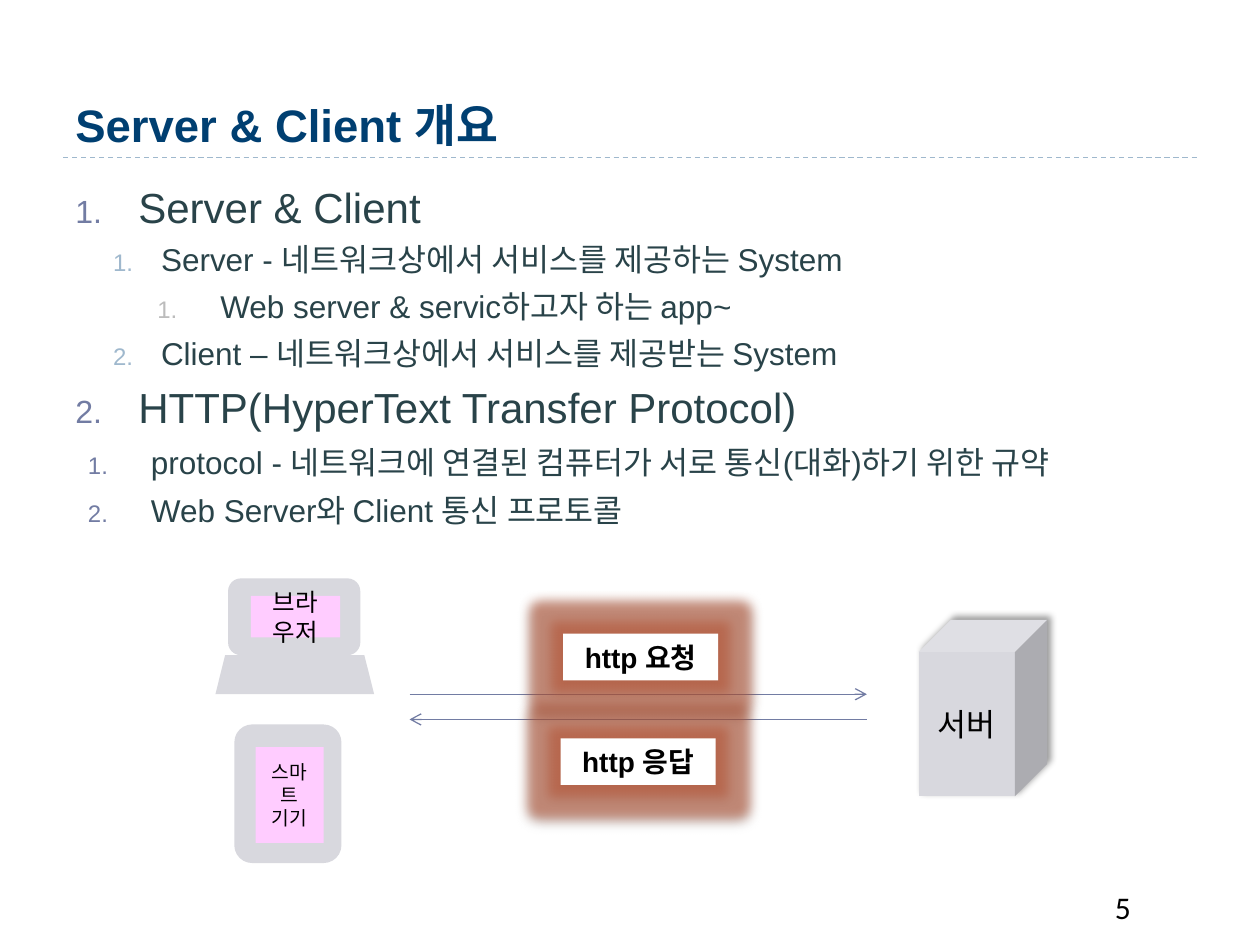
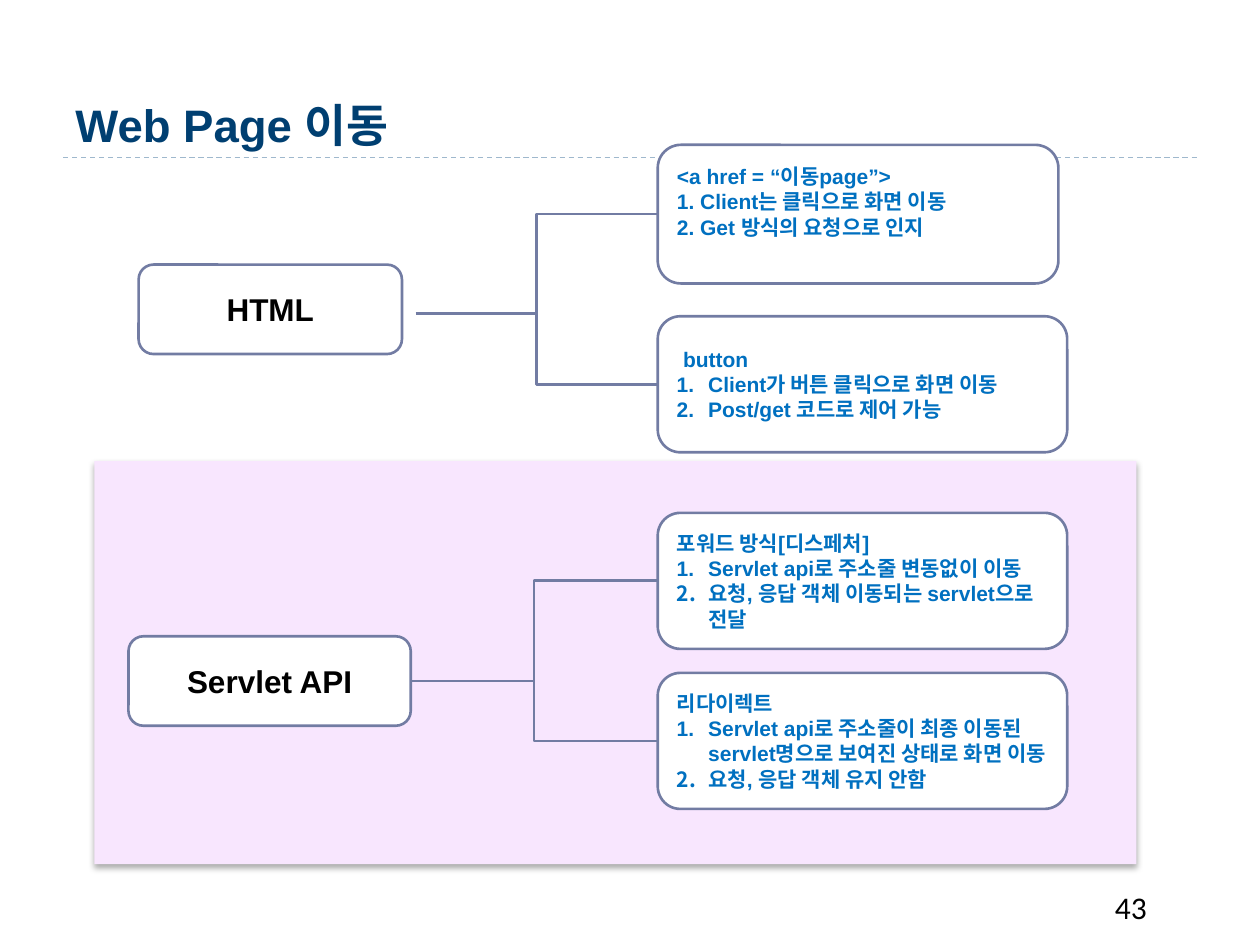
from lxml import etree
from pptx import Presentation
from pptx.dml.color import RGBColor
from pptx.enum.dml import MSO_LINE
from pptx.enum.shapes import MSO_CONNECTOR as CONN, MSO_SHAPE as SHAPE
from pptx.enum.text import MSO_ANCHOR as ANCHOR, PP_ALIGN as ALIGN
from pptx.oxml.ns import qn
from pptx.util import Inches, Pt

# Shared look
W, H = 10, 7.5
NAVY, TEXT, BLUE, BLACK = "003F71", "294349", "0070C0", "000000"
SLATE, SKY, SILVER = "727CA3", "9FB8CD", "BCBCBC"
GRAY, PINK, LILAC, WHITE, GLOW = "D8D8DE", "FFCCFF", "F8E6FE", "FFFFFF", "B85A3C"
SOFT = (32, 3.5, 2.2, 90)  # shadow: opacity, blur, distance, angle
DEEP = (40, 4, 3, 315)

# Slide 1 content: outline styles are level, left, hang, before, size, number colour
STYLES = {
    "head": (0, 0.5, 0.5, 6, 24, SLATE),
    "item": (1, 0.68, 0.38, 5, 18, SKY),
    "detail": (2, 1.15, 0.5, 5, 18, SILVER),
    "note": (2, 0.6, 0.5, 6, 18, SLATE),
}
OUTLINE = [
    ("head", "Server & Client"),
    ("item", "Server - 네트워크상에서 서비스를 제공하는 System"),
    ("detail", "Web server & servic하고자 하는 app~"),
    ("item", "Client – 네트워크상에서 서비스를 제공받는 System"),
    ("head", "HTTP(HyperText Transfer Protocol)"),
    ("note", "protocol - 네트워크에 연결된 컴퓨터가 서로 통신(대화)하기 위한 규약"),
    ("note", "Web Server와 Client 통신 프로토콜"),
]
DEVICES = [  # kind, place, fill, lines, size
    (SHAPE.CUBE, (7.29, 4.92, 1.02, 1.4), GRAY, ["서버"], 18),
    (SHAPE.ROUNDED_RECTANGLE, (1.81, 4.59, 1.05, 0.61), GRAY, [], 14),
    (SHAPE.TRAPEZOID, (1.71, 5.2, 1.26, 0.31), GRAY, [], 14),
    (SHAPE.RECTANGLE, (1.99, 4.73, 0.71, 0.33), PINK, ["브라우저"], 14),
    (SHAPE.ROUNDED_RECTANGLE, (1.86, 5.75, 0.85, 1.1), GRAY, [], 11),
    (SHAPE.RECTANGLE, (2.03, 5.93, 0.54, 0.76), PINK, ["스마트", "기기"], 11),
]
ARROWS = [(3.25, 6.88, 5.51), (6.88, 3.25, 5.71)]  # from x, to x, y
MESSAGES = [("http 요청", 4.47, 5.03), ("http 응답", 4.45, 5.86)]

# Slide 2 content: each source with its branches
LEFT, BRANCH_W, BRANCH_H = 5.22, 3.25, 1.08
SOURCES = [
    {"name": "HTML", "box": (1.1, 2.1, 2.09, 0.71), "start": (3.3, 2.49),
     "branches": [
         {"box": (LEFT, 1.15, 3.18, 1.1), "numbered": False, "bottom": 0.25,
          "lines": ["<a href = “이동page”>", "1. Client는 클릭으로 화면 이동",
                    "2. Get 방식의 요청으로 인지"]},
         {"box": (LEFT, 2.51, BRANCH_W, BRANCH_H), "first_indent": 0.05,
          "lines": ["button", "Client가 버튼 클릭으로 화면 이동",
                    "Post/get 코드로 제어 가능"]}]},
    {"name": "Servlet API", "box": (1.02, 5.05, 2.24, 0.71), "start": None,
     "branches": [
         {"box": (LEFT, 4.07, BRANCH_W, BRANCH_H),
          "lines": ["포워드 방식[디스페처]", "Servlet api로 주소줄 변동없이 이동",
                    "요청, 응답 객체 이동되는 servlet으로 전달"]},
         {"box": (LEFT, 5.34, BRANCH_W, BRANCH_H),
          "lines": ["리다이렉트",
                    "Servlet api로 주소줄이 최종 이동된 servlet명으로 보여진 상태로 화면 이동",
                    "요청, 응답 객체 유지 안함"]}]},
]


# Helpers
def rgb(color):
    return RGBColor.from_string(color)


def sub(parent, tag, **attrs):
    el = etree.SubElement(parent, qn("a:" + tag))
    for key, value in attrs.items():
        el.set(key, str(value))
    return el


def add_run(p, text, size, color, bold=False, font="Arial"):
    r = p.add_run()
    r.text = text
    r.font.name, r.font.size, r.font.bold = font, Pt(size), bold
    r.font.color.rgb = rgb(color)


def paragraphs(tf, lines):
    for i, line in enumerate(lines):
        yield (tf.paragraphs[0] if i == 0 else tf.add_paragraph()), line


def indent(p, left, first=0):
    pPr = p._p.get_or_add_pPr()
    pPr.set("marL", str(Inches(left)))
    pPr.set("indent", str(Inches(first)))
    return pPr


def number(p, left, hang, color=None, percent=None):
    pPr = indent(p, left, -hang)
    if color:
        sub(sub(pPr, "buClr"), "srgbClr", val=color)
    if percent:
        sub(pPr, "buSzPct", val=percent * 1000)
    sub(pPr, "buFont", typeface="+mj-lt")
    sub(pPr, "buAutoNum", type="arabicPeriod")


def add_effects(shape, shadow=None, glow=None):
    effects = shape._element.spPr.find(qn("a:effectLst"))
    if glow:
        clr = sub(sub(effects, "glow", rad=Pt(13)), "srgbClr", val=glow)
        sub(clr, "alpha", val=60000)
    if shadow:
        alpha, blur, dist, angle = shadow
        el = sub(effects, "outerShdw", blurRad=Pt(blur), dist=Pt(dist),
                 dir=angle * 60000, rotWithShape=0)
        sub(sub(el, "srgbClr", val=BLACK), "alpha", val=alpha * 1000)


def add_box(s, kind, place, fill, line=None, shadow=None, glow=None):
    sp = s.shapes.add_shape(kind, *map(Inches, place))
    sp.shadow.inherit = False
    sp.fill.solid()
    sp.fill.fore_color.rgb = rgb(fill)
    if line:
        sp.line.color.rgb, sp.line.width = rgb(line), Pt(1.5)
    else:
        sp.line.fill.background()
    add_effects(sp, shadow, glow)
    sp.text_frame.word_wrap = True
    sp.text_frame.vertical_anchor = ANCHOR.MIDDLE
    return sp


def add_label(sp, lines, size, bold=False):
    for p, line in paragraphs(sp.text_frame, lines):
        p.alignment = ALIGN.CENTER
        add_run(p, line, size, BLACK, bold)


def add_line(s, kind, start, end, color, width):
    c = s.shapes.add_connector(kind, *map(Inches, (*start, *end)))
    c.line.color.rgb, c.line.width = rgb(color), Pt(width)
    sub(c._element.spPr, "effectLst")
    return c


def add_text(s, place, anchor=ANCHOR.TOP):
    tf = s.shapes.add_textbox(*map(Inches, place)).text_frame
    tf.word_wrap, tf.vertical_anchor = True, anchor
    return tf


def new_slide(prs, title, page):
    s = prs.slides.add_slide(prs.slide_layouts[6])
    rule = add_line(s, CONN.STRAIGHT, (0.5, 1.25), (W - 0.5, 1.25), SKY, 0.75)
    rule.line.dash_style = MSO_LINE.DASH
    tf = add_text(s, (0.5, 0.17, W - 1, 1.08), ANCHOR.BOTTOM)
    add_run(tf.paragraphs[0], title, 26, NAVY, True)
    tf = add_text(s, (8.75, 7, 0.83, 0.4))
    add_run(tf.paragraphs[0], str(page), 18, BLACK, font="Calibri")
    return s


# Slides
def overview_slide(prs):
    s = new_slide(prs, "Server & Client 개요", 5)
    tf = add_text(s, (0.5, 1.39, W - 1, 5.35))
    for i, (p, (style, text)) in enumerate(paragraphs(tf, OUTLINE)):
        level, left, hang, before, size, color = STYLES[style]
        p.level = level
        p.space_before = Pt(before if i else 0)
        number(p, left, hang, color, 76)
        add_run(p, text, size, TEXT)

    for kind, place, fill, lines, size in DEVICES:
        shadow = DEEP if kind == SHAPE.CUBE else None
        add_label(add_box(s, kind, place, fill, shadow=shadow), lines, size)

    for x1, x2, y in ARROWS:
        c = add_line(s, CONN.STRAIGHT, (x1, y), (x2, y), SLATE, 0.75)
        sub(c.line._get_or_add_ln(), "tailEnd", type="arrow")
    for text, x, y in MESSAGES:
        sp = add_box(s, SHAPE.RECTANGLE, (x, y, 1.23, 0.37), WHITE,
                     shadow=SOFT, glow=GLOW)
        add_label(sp, [text], 16, True)


def add_branch(s, branch):
    sp = add_box(s, SHAPE.ROUNDED_RECTANGLE, branch["box"], WHITE, SLATE)
    tf = sp.text_frame
    tf.margin_bottom = Inches(branch.get("bottom", 0.05))
    for i, (p, line) in enumerate(paragraphs(tf, branch["lines"])):
        p.alignment = ALIGN.LEFT
        if i and branch.get("numbered", True):
            number(p, 0.25, 0.25)
        elif i == 0:
            indent(p, branch.get("first_indent", 0))
        add_run(p, line, 12, BLUE, True)
    return sp


def navigation_slide(prs):
    s = new_slide(prs, "Web Page 이동", 43)
    add_box(s, SHAPE.RECTANGLE, (0.75, 3.66, 8.27, 3.2), LILAC, shadow=SOFT)
    for source in SOURCES:
        x, y, w, h = source["box"]
        sp = add_box(s, SHAPE.ROUNDED_RECTANGLE, source["box"], WHITE, SLATE)
        add_label(sp, [source["name"]], 18, True)
        start = source["start"] or (x + w, y + h / 2)
        for branch in source["branches"]:
            target = add_branch(s, branch)
            bx, by, _, bh = branch["box"]
            c = add_line(s, CONN.ELBOW, start, (bx, by + bh / 2), SLATE, 1.5)
            if not source["start"]:
                c.begin_connect(sp, 3)
            c.end_connect(target, 1)


def main():
    prs = Presentation()
    prs.slide_width, prs.slide_height = Inches(W), Inches(H)
    overview_slide(prs)
    navigation_slide(prs)
    prs.save("out.pptx")


if __name__ == "__main__":
    main()
